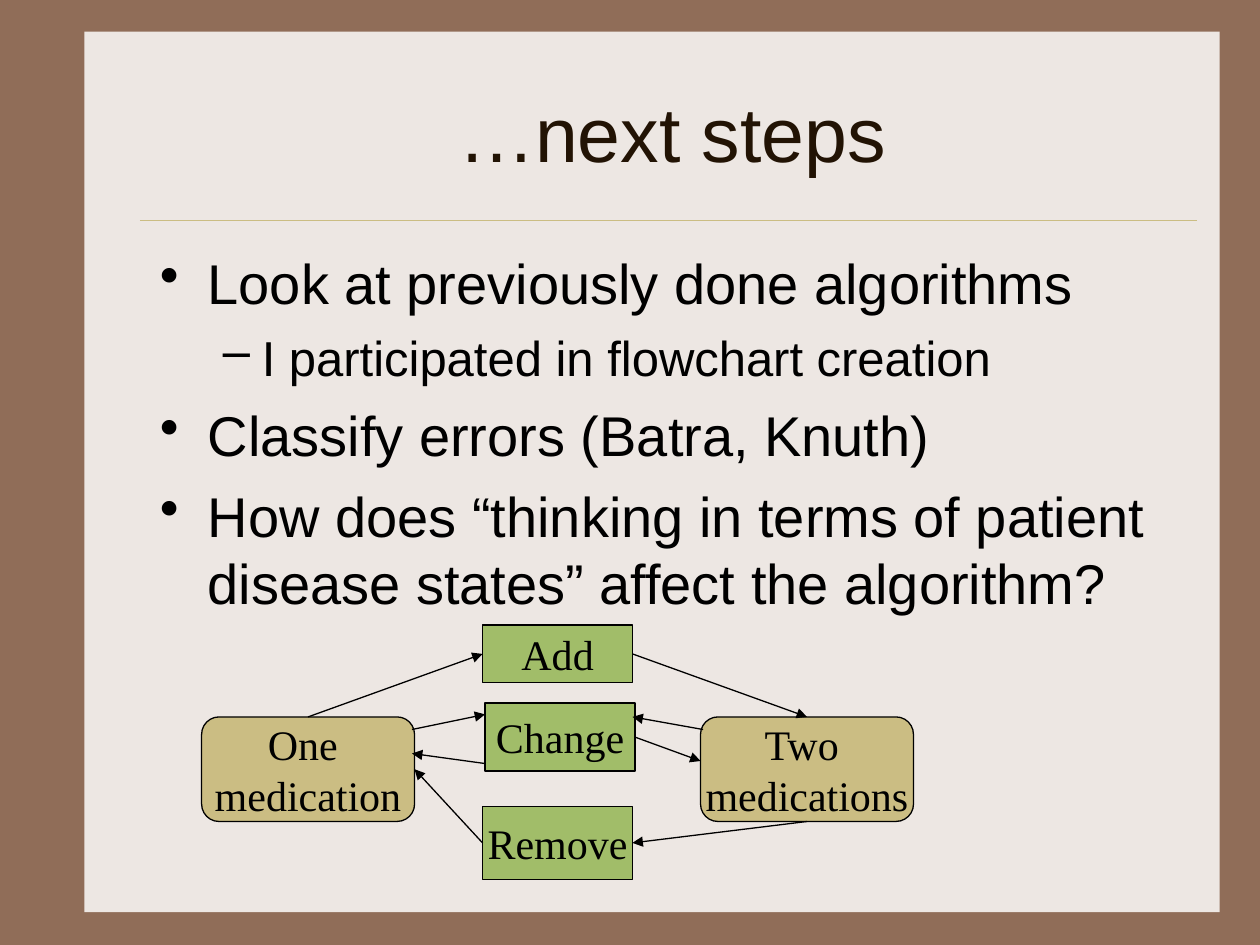
import pptx
import pptx.util
import pptx.dml.color
import pptx.enum.shapes
import pptx.enum.text
from lxml import etree
from pptx.util import Inches

COLORS = {
    "frame": "906D58",
    "panel": "EDE7E3",
    "tan": "CBBD83",
    "green": "A1BD69",
    "title": "221304",
    "ink": "000000",
}
SHAPES = pptx.enum.shapes.MSO_SHAPE
ANCHOR = pptx.enum.text.MSO_ANCHOR
ALIGN = pptx.enum.text.PP_ALIGN
TOP, LEFT, BOTTOM, RIGHT = range(4)


def rgb(name):
    """Return the named colour."""
    return pptx.dml.color.RGBColor.from_string(COLORS[name])


def style(paragraph, size, face, color="ink"):
    """Format every run of a paragraph."""
    for run in paragraph.runs:
        run.font.size = pptx.util.Pt(size)
        run.font.name = face
        run.font.color.rgb = rgb(color)


def add_block(slide, kind, box, fill, outlined=True):
    """Add a flat filled shape, outlined in ink on request."""
    block = slide.shapes.add_shape(kind, *map(Inches, box))
    block.shadow.inherit = False
    block.fill.solid()
    block.fill.fore_color.rgb = rgb(fill)
    if outlined:
        block.line.color.rgb = rgb("ink")
        block.line.width = pptx.util.Pt(0.75)
    else:
        block.line.fill.background()
    return block


def add_line(slide, start, end, color="ink", width=0.75, arrow=True):
    """Add a straight line between two points, with an arrowhead on request."""
    line = slide.shapes.add_connector(
        pptx.enum.shapes.MSO_CONNECTOR.STRAIGHT, *map(Inches, (*start, *end)))
    line.line.color.rgb = rgb(color)
    line.line.width = pptx.util.Pt(width)
    if arrow:
        outline = line.line._get_or_add_ln()
        etree.SubElement(outline, pptx.oxml.ns.qn("a:tailEnd"), type="triangle")
    etree.SubElement(line._element.spPr, pptx.oxml.ns.qn("a:effectLst"))
    return line


def add_backdrop(slide, box):
    """Draw the frame colour, the panel in the box and the rule below the title."""
    slide.background.fill.solid()
    slide.background.fill.fore_color.rgb = rgb("frame")
    add_block(slide, SHAPES.RECTANGLE, box, "panel", outlined=False)
    left, top, width, _ = box
    rule_y = top + 1.5
    add_line(slide, (left + 0.44, rule_y), (left + width - 0.18, rule_y),
             "tan", 0.25, arrow=False)


def add_title(slide, box, title):
    """Place the centred title in the box."""
    frame = slide.shapes.add_textbox(*map(Inches, box)).text_frame
    frame.word_wrap = True
    frame.vertical_anchor = ANCHOR.MIDDLE
    frame.text = title
    frame.paragraphs[0].alignment = ALIGN.CENTER
    style(frame.paragraphs[0], 44, "Arial", "title")


def add_bullets(slide, box, points):
    """Place the two-level bullet list in the box."""
    levels = [("•", 0.38, 0.38, 32, 8), ("–", 0.81, 0.31, 28, 7)]
    frame = slide.shapes.add_textbox(*map(Inches, box)).text_frame
    frame.word_wrap = True
    for index, (level, point) in enumerate(points):
        mark, indent, hanging, size, gap = levels[level]
        paragraph = frame.add_paragraph() if index else frame.paragraphs[0]
        paragraph.text = point
        paragraph.level = level
        paragraph.space_before = pptx.util.Pt(gap if index else 0)
        properties = paragraph._p.get_or_add_pPr()
        properties.set("marL", str(Inches(indent)))
        properties.set("indent", str(-Inches(hanging)))
        etree.SubElement(properties, pptx.oxml.ns.qn("a:buChar"), char=mark)
        style(paragraph, size, "Arial")


def add_node(slide, kind, box, fill, label):
    """Add one labelled flowchart node."""
    node = add_block(slide, kind, box, fill)
    frame = node.text_frame
    frame.word_wrap = False
    frame.vertical_anchor = ANCHOR.MIDDLE
    frame.text = label
    for paragraph in frame.paragraphs:
        paragraph.alignment = ALIGN.CENTER
        style(paragraph, 24, "Times New Roman")
    return node


def add_flowchart(slide, box):
    """Draw the medication states and the actions between them in the box."""
    left, top, width, _ = box

    def at(x, y):
        """Return a slide position from an offset inside the box."""
        return left + x, top + y

    state_width, action_width = 1.69, 1.19
    one, two = [
        add_node(slide, SHAPES.ROUNDED_RECTANGLE,
                 (*at(x, 0.73), state_width, 0.83), "tan", label)
        for x, label in [(0, "One \nmedication"),
                         (width - state_width, "Two \nmedications")]]
    add, change, remove = [
        add_node(slide, SHAPES.RECTANGLE,
                 (*at(x, y), action_width, height), "green", label)
        for x, y, height, label in [(2.23, 0, 0.46, "Add"),
                                    (2.25, 0.62, 0.54, "Change"),
                                    (2.23, 1.44, 0.58, "Remove")]]

    for source, source_side, target, target_side in [
            (one, TOP, add, LEFT), (add, RIGHT, two, TOP),
            (two, BOTTOM, remove, RIGHT), (remove, LEFT, one, RIGHT)]:
        arrow = add_line(slide, at(0, 0), at(1, 1))
        arrow.begin_connect(source, source_side)
        arrow.end_connect(target, target_side)

    for start, end in [((1.67, 0.83), (2.25, 0.71)),
                       ((2.25, 1.1), (1.67, 1.02)),
                       ((3.98, 0.83), (3.42, 0.73))]:
        add_line(slide, at(*start), at(*end))
    change_to_two = add_line(slide, at(3.44, 0.89), at(3.96, 1.08))
    change_to_two.begin_connect(change, RIGHT)


def main():
    """Build and save the slide."""
    deck = pptx.Presentation()
    deck.slide_width, deck.slide_height = Inches(10), Inches(7.5)
    slide = deck.slides.add_slide(deck.slide_layouts[6])
    add_backdrop(slide, (0.67, 0.25, 9.01, 6.99))
    add_title(slide, (1.17, 0.42, 8.33, 1.25), "…next steps")
    add_bullets(slide, (1.17, 1.92, 8.33, 4.5), [
        (0, "Look at previously done algorithms"),
        (1, "I participated in flowchart creation"),
        (0, "Classify errors (Batra, Knuth)"),
        (0, "How does “thinking in terms of patient disease states” "
            "affect the algorithm?"),
    ])
    add_flowchart(slide, (1.6, 4.96, 5.65, 2.02))
    deck.save("out.pptx")


if __name__ == "__main__":
    main()
